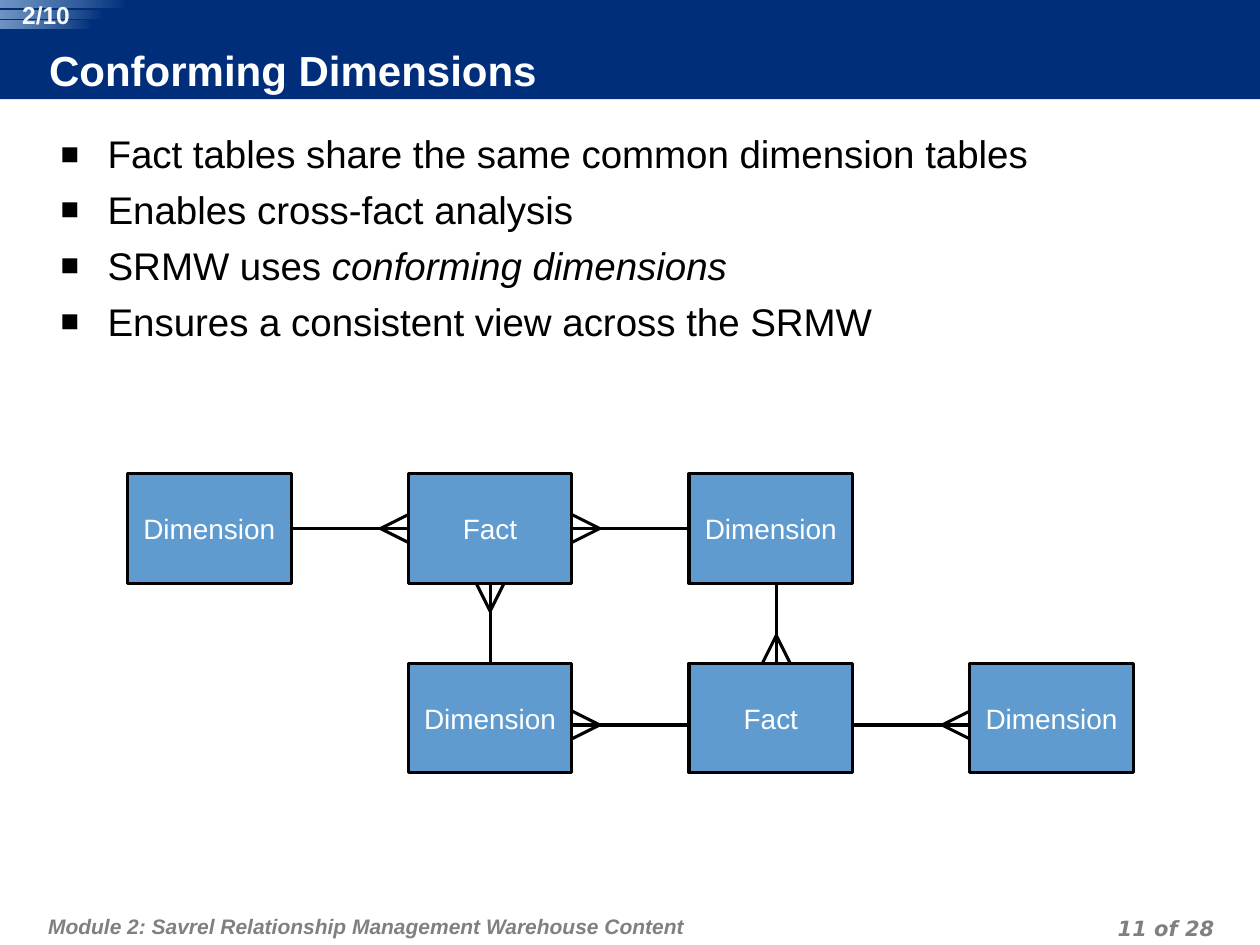
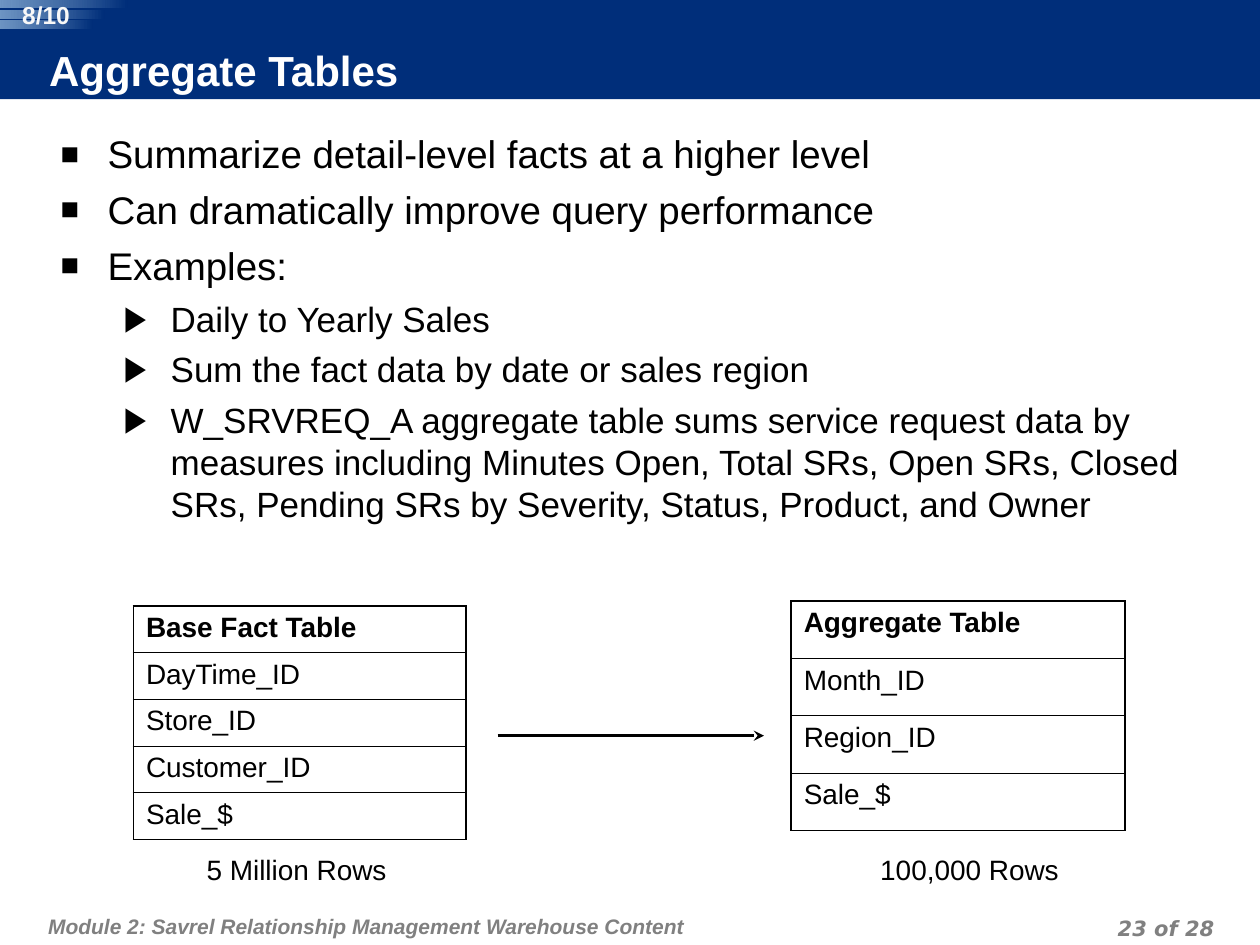
from itertools import count

from lxml.etree import SubElement
from pptx import Presentation
from pptx.dml.color import RGBColor
from pptx.enum.shapes import MSO_CONNECTOR, MSO_SHAPE
from pptx.enum.text import MSO_ANCHOR, MSO_AUTO_SIZE, PP_ALIGN
from pptx.oxml.ns import qn
from pptx.util import Cm, Pt

NAVY, SKY, PALE, BADGE = "002E7A", "5F9BCF", "90B5DA", "F8F8F8"
BLACK, WHITE, GREY = "000000", "FFFFFF", "808080"
MODULE = "Module 2: Savrel Relationship Management Warehouse Content"
PAGE_COUNT = 28
LINE_WIDTH = Pt(1.75)

# level: (left margin cm, size pt, space before pt, bullet, bullet size %)
LIST_LEVELS = [(0.95, 22, 5.5, "■", 80), (2.22, 20, 5, "▶", 100)]
HANG = 0.95


def color(hex_string):
    return RGBColor.from_string(hex_string)


def box_cm(left, top, width, height):
    return Cm(left), Cm(top), Cm(width), Cm(height)


def style_run(run, size, hex_color, bold=False, italic=False, font="Arial"):
    run.font.name = font
    run.font.size = Pt(size)
    run.font.bold = bold
    run.font.italic = italic
    run.font.color.rgb = color(hex_color)


def set_margins(frame, left, top, right, bottom):
    frame.margin_left, frame.margin_top = Cm(left), Cm(top)
    frame.margin_right, frame.margin_bottom = Cm(right), Cm(bottom)


def add_label(shapes, box, text, size, hex_color, align, margins,
              line_spacing=None, wrap=True, **run_style):
    frame = shapes.add_textbox(*box_cm(*box)).text_frame
    frame.word_wrap = wrap
    set_margins(frame, *margins)
    frame.text = text
    paragraph = frame.paragraphs[0]
    paragraph.alignment = align
    paragraph.line_spacing = line_spacing
    style_run(paragraph.runs[0], size, hex_color, **run_style)


def add_block(shapes, kind, box, fill=None, outline=None):
    block = shapes.add_shape(kind, *box_cm(*box))
    block.shadow.inherit = False
    if fill:
        block.fill.solid()
        block.fill.fore_color.rgb = color(fill)
    else:
        block.fill.background()
    if outline:
        block.line.color.rgb = color(outline)
        block.line.width = LINE_WIDTH
    else:
        block.line.fill.background()
    return block


def add_line(shapes, start, end, arrow=False):
    ends = [Cm(value) for value in (*start, *end)]
    line = shapes.add_connector(MSO_CONNECTOR.STRAIGHT, *ends)
    line.line.color.rgb = color(BLACK)
    line.line.width = LINE_WIDTH
    properties = line._element.spPr
    if arrow:
        SubElement(properties.find(qn("a:ln")), qn("a:tailEnd"), type="stealth")
    SubElement(properties, qn("a:effectLst"))


# Shared frame: band, title, footer and progress badge
def add_badge(slide, left, top, progress):
    badge = slide.shapes.add_group_shape().shapes
    for row, width in enumerate((2.57, 2.1, 1.87)):
        stripe = add_block(badge, MSO_SHAPE.ROUNDED_RECTANGLE,
                           (left, top + row * 0.21, width, 0.16), NAVY)
        stripe.adjustments[0] = 0
        stripe.fill.gradient()
        stripe.fill.gradient_angle = 180
        for stop, shade in zip(stripe.fill.gradient_stops, (NAVY, PALE)):
            stop.color.rgb = color(shade)
        pale_stop = list(stripe._element.iter(qn("a:srgbClr")))[-1]
        SubElement(pale_stop, qn("a:alpha"), val="76000")
    add_label(badge, (left + 0.28, top, 1.3, 0.58), progress, 14, BADGE,
              PP_ALIGN.CENTER, (0, 0, 0, 0), wrap=False, bold=True)


def add_footer(slide, left, top, page):
    add_label(slide.shapes, (left, top, 15.7, 1.02), MODULE, 12, GREY,
              PP_ALIGN.LEFT, (0.13, 0.25, 0.13, 0.13), Pt(18),
              bold=True, italic=True)
    add_label(slide.shapes, (left + 17.85, top + 0.3, 5.92, 0.64),
              f"{page} of {PAGE_COUNT}", 12, GREY, PP_ALIGN.RIGHT,
              (0.13, 0, 0.13, 0), Pt(18),
              bold=True, italic=True, font="DejaVu Sans")


def place(placeholder, box, margins, anchor):
    (placeholder.left, placeholder.top,
     placeholder.width, placeholder.height) = box_cm(*box)
    frame = placeholder.text_frame
    frame.auto_size = MSO_AUTO_SIZE.NONE
    frame.word_wrap = True
    frame.vertical_anchor = anchor
    set_margins(frame, *margins)
    return frame


def fill_title(title, box, text):
    title.fill.solid()
    title.fill.fore_color.rgb = color(NAVY)
    frame = place(title, box, (0, 0, 0.13, 0.13), MSO_ANCHOR.MIDDLE)
    frame.text = text
    frame.paragraphs[0].alignment = PP_ALIGN.LEFT
    style_run(frame.paragraphs[0].runs[0], 24, WHITE, bold=True)


def set_bullet(paragraph, margin, bullet, percent):
    properties = paragraph._p.get_or_add_pPr()
    properties.set("marL", str(Cm(margin)))
    properties.set("indent", str(-Cm(HANG)))
    bullet_color = SubElement(properties, qn("a:buClr"))
    SubElement(bullet_color, qn("a:srgbClr"), val=BLACK)
    SubElement(properties, qn("a:buSzPct"), val=str(percent * 1000))
    SubElement(properties, qn("a:buFont"), typeface="Arial")
    SubElement(properties, qn("a:buChar"), char=bullet)


def fill_list(body, box, points):
    """Each point is (level, text); text between asterisks is italic."""
    frame = place(body, box, (0.25, 0.25, 0.25, 0.13), MSO_ANCHOR.TOP)
    for position, (level, text) in enumerate(points):
        margin, size, space, bullet, percent = LIST_LEVELS[level]
        paragraph = frame.add_paragraph() if position else frame.paragraphs[0]
        paragraph.level = level
        set_bullet(paragraph, margin, bullet, percent)
        paragraph.space_before = Pt(space if position else 0)
        for part, words in zip(count(), text.split("*")):
            if words:
                run = paragraph.add_run()
                run.text = words
                style_run(run, size, BLACK, italic=part % 2 == 1)


def add_content_slide(deck, title, points, progress, page):
    slide = deck.slides.add_slide(deck.slide_layouts[1])
    band = add_block(slide.shapes, MSO_SHAPE.RECTANGLE, (0, 0, 25.4, 2), NAVY)
    slide.shapes._spTree.insert(2, band._element)
    fill_title(slide.shapes.title, (0.99, 0.95, 20, 1.02), title)
    fill_list(slide.placeholders[1], (0.97, 2.38, 23.62, 15.7), points)
    add_footer(slide, 0.84, 18.03, page)
    add_badge(slide, 0, 0, progress)
    return slide


# Star diagram of facts and their shared dimensions
def add_crows_foot(shapes, tip_end, direction):
    """Draw the fork whose base lies behind the fact box at tip_end."""
    size, inset = 0.84, 0.14
    dx, dy = direction
    center_x, center_y = tip_end[0] - inset * dx, tip_end[1] - inset * dy
    fork = add_block(shapes, MSO_SHAPE.ISOSCELES_TRIANGLE,
                     (center_x - size / 2, center_y - size / 2, size, size),
                     outline=BLACK)
    fork.rotation = {(1, 0): 270, (-1, 0): 90, (0, 1): 0, (0, -1): 180}[direction]


def add_star_diagram(slide, left, top):
    width, height, column_step, row_step = 3.3, 2.21, 5.66, 3.82
    # (column, row): entity
    entities = {(0, 0): "Dimension", (1, 0): "Fact", (2, 0): "Dimension",
                (1, 1): "Dimension", (2, 1): "Fact", (3, 1): "Dimension"}
    # start cell, forked cell, sideways shift of the line
    links = [((0, 0), (1, 0), 0), ((2, 0), (1, 0), 0), ((1, 1), (1, 0), 0),
             ((2, 0), (2, 1), 0.11), ((2, 1), (1, 1), 0.14),
             ((2, 1), (3, 1), 0.14)]

    def center(cell):
        return (left + cell[0] * column_step + width / 2,
                top + cell[1] * row_step + height / 2)

    for one, many, shift in links:
        dx, dy = many[0] - one[0], many[1] - one[1]
        (x1, y1), (x2, y2) = center(one), center(many)
        side_x, side_y = dx * width / 2, dy * height / 2
        shift_x, shift_y = shift * abs(dy), shift * abs(dx)
        start = (x1 + side_x + shift_x, y1 + side_y + shift_y)
        end = (x2 - side_x + shift_x, y2 - side_y + shift_y)
        add_line(slide.shapes, start, end)
        add_crows_foot(slide.shapes, end, (dx, dy))

    for cell, name in entities.items():
        x, y = center(cell)
        entity = add_block(slide.shapes, MSO_SHAPE.RECTANGLE,
                           (x - width / 2, y - height / 2, width, height),
                           SKY, BLACK)
        frame = entity.text_frame
        frame.word_wrap = False
        frame.vertical_anchor = MSO_ANCHOR.MIDDLE
        frame.text = name
        frame.paragraphs[0].alignment = PP_ALIGN.CENTER
        style_run(frame.paragraphs[0].runs[0], 16, WHITE)


# Base and aggregate tables
def set_borders(cell, widths):
    properties = cell._tc.get_or_add_tcPr()
    for position, (side, width) in enumerate(widths.items()):
        border = properties.makeelement(qn(f"a:{side}"), {"w": str(Pt(width))})
        fill = SubElement(border, qn("a:solidFill"))
        SubElement(fill, qn("a:srgbClr"), val=BLACK)
        properties.insert(position, border)


def add_column_table(slide, box, rows, caption, caption_shift):
    left, top, width, height = box
    table = slide.shapes.add_table(len(rows), 1, *box_cm(*box)).table
    table.first_row = table.horz_banding = False
    thick, thin = 1.08, 0.45
    last = len(rows) - 1
    for index, name in enumerate(rows):
        table.rows[index].height = Cm(height / len(rows))
        cell = table.cell(index, 0)
        cell.text = name
        style_run(cell.text_frame.paragraphs[0].runs[0], 16, BLACK, index == 0)
        cell.fill.background()
        set_borders(cell, {"lnL": thick, "lnR": thick,
                           "lnT": thin if index else thick,
                           "lnB": thin if index < last else thick})
    add_label(slide.shapes, (left + caption_shift, 17.06, width, 0.94), caption,
              16, BLACK, PP_ALIGN.CENTER, (0.25, 0.13, 0.25, 0.13))


def main():
    deck = Presentation()
    deck.slide_width, deck.slide_height = Cm(25.4), Cm(19.05)

    conforming = add_content_slide(deck, "Conforming Dimensions", [
        (0, "Fact tables share the same common dimension tables"),
        (0, "Enables cross-fact analysis"),
        (0, "SRMW uses *conforming dimensions*"),
        (0, "Ensures a consistent view across the SRMW"),
    ], "2/10", 11)
    add_star_diagram(conforming, 2.57, 9.55)

    aggregate = add_content_slide(deck, "Aggregate Tables", [
        (0, "Summarize detail-level facts at a higher level"),
        (0, "Can dramatically improve query performance"),
        (0, "Examples:"),
        (1, "Daily to Yearly Sales"),
        (1, "Sum the fact data by date or sales region"),
        (1, "W_SRVREQ_A aggregate table sums service request data by measures "
            "including Minutes Open, Total SRs, Open SRs, Closed SRs, Pending "
            "SRs by Severity, Status, Product, and Owner"),
    ], "8/10", 23)
    add_column_table(aggregate, (2.69, 12.22, 6.7, 4.7),
                     ["Base Fact Table", "DayTime_ID", "Store_ID",
                      "Customer_ID", "Sale_$"], "5 Million Rows", -0.06)
    add_line(aggregate.shapes, (10.03, 14.83), (15.4, 14.83), arrow=True)
    add_column_table(aggregate, (15.95, 12.12, 6.73, 4.62),
                     ["Aggregate Table", "Month_ID", "Region_ID", "Sale_$"],
                     "100,000 Rows", 0.23)
    deck.save("out.pptx")


if __name__ == "__main__":
    main()
